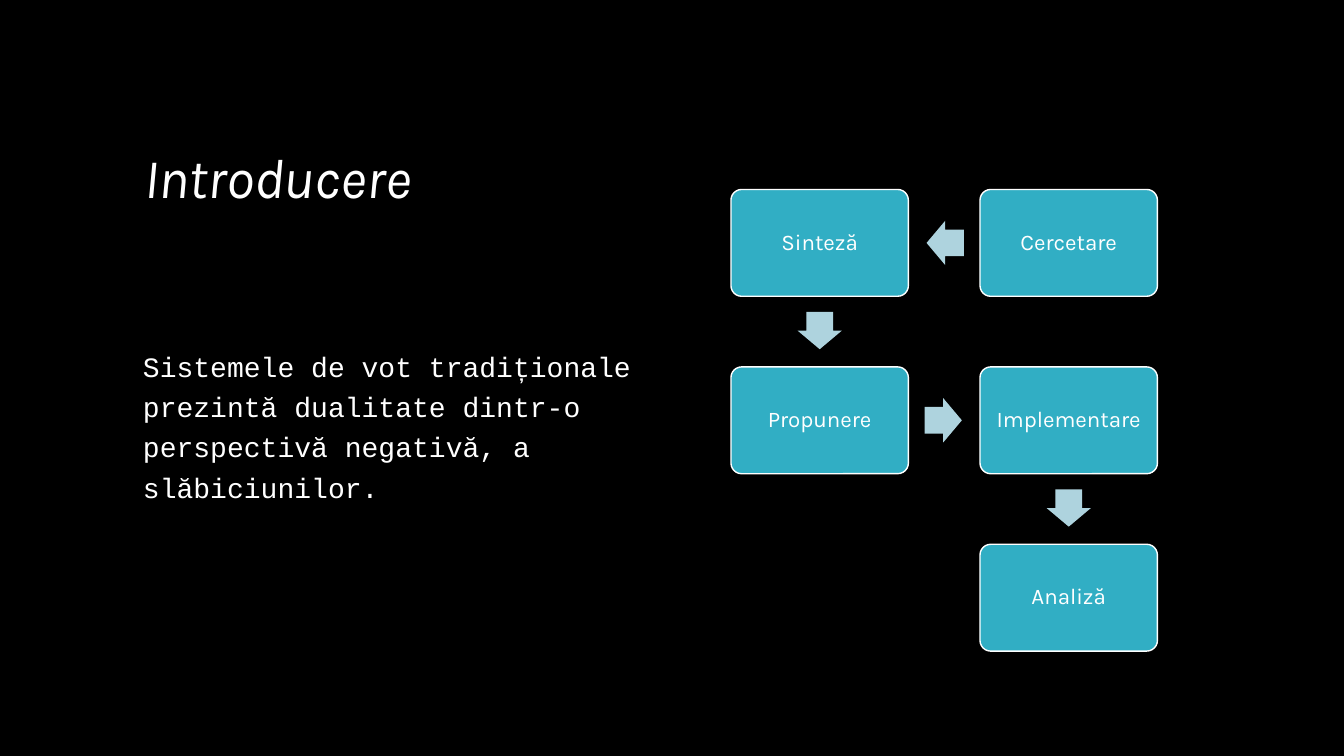
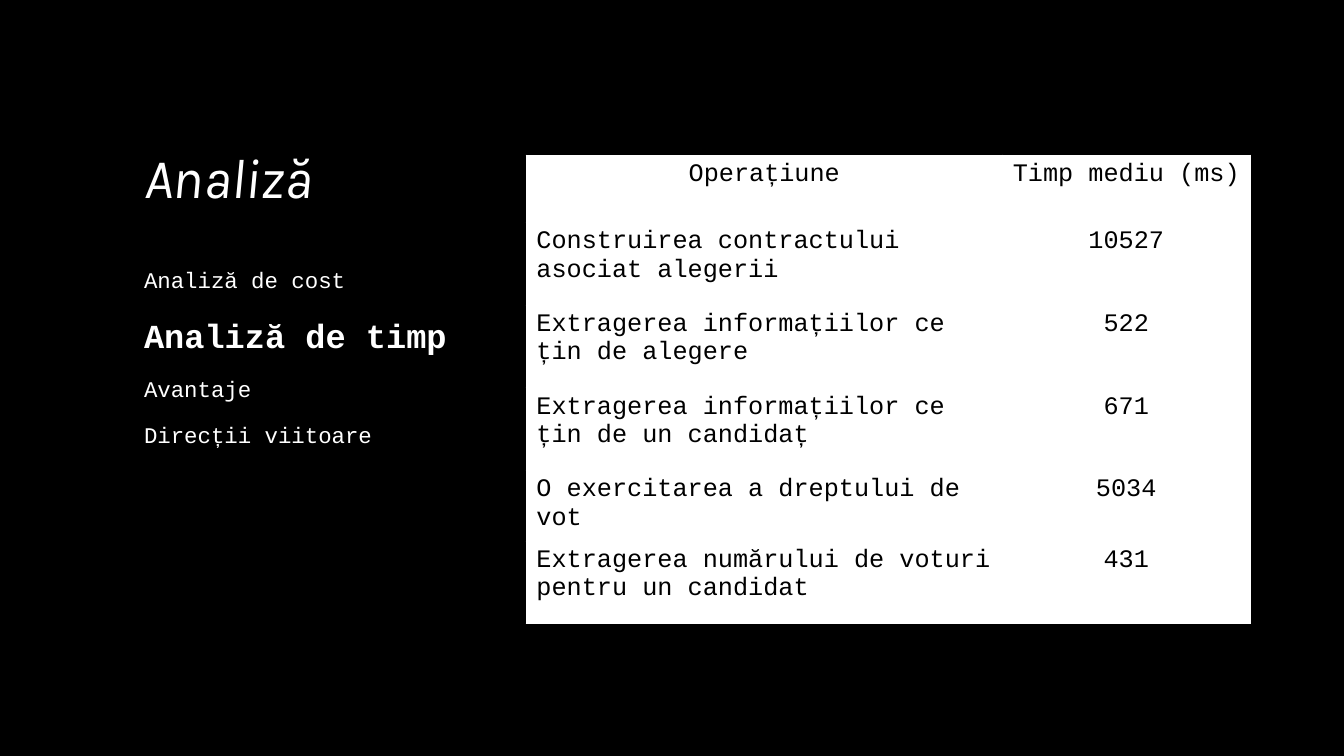
from dataclasses import dataclass
from itertools import pairwise
from math import atan2, cos, degrees, radians, sin

from pptx import Presentation
from pptx.dml.color import RGBColor
from pptx.enum.shapes import MSO_SHAPE
from pptx.enum.text import MSO_ANCHOR, PP_ALIGN
from pptx.presentation import Presentation as Deck
from pptx.slide import Slide
from pptx.text.text import Font, TextFrame
from pptx.util import Inches, Pt

COLORS = {
    "background": "000000",
    "text": "FFFFFF",
    "step": "31AEC4",
    "arrow": "AED3DE",
    "cell": "FFFFFF",
    "cell_text": "000000",
}
HEADING_FONT = "Karla"
BODY_FONT = "Courier New"
LINE_SPACING = 1.2

STEP_WIDTH, STEP_HEIGHT = 1.76, 1.06
FLOW_LEFT, FLOW_TOP = 7.25, 1.88
COLUMN_PITCH, ROW_PITCH = 2.47, 1.76
ARROW_LENGTH, ARROW_WIDTH = 0.37, 0.44
ARROW_SETBACK = 0.01


@dataclass(frozen=True)
class Line:
    text: str
    size: int
    bold: bool = False


@dataclass(frozen=True)
class Step:
    label: str
    column: int
    row: int

    @property
    def center(self) -> tuple[float, float]:
        return (
            FLOW_LEFT + self.column * COLUMN_PITCH + STEP_WIDTH / 2,
            FLOW_TOP + self.row * ROW_PITCH + STEP_HEIGHT / 2,
        )


@dataclass(frozen=True)
class Timing:
    operation: str
    milliseconds: str


STEPS = [
    Step("Cercetare", 1, 0),
    Step("Sinteză", 0, 0),
    Step("Propunere", 0, 1),
    Step("Implementare", 1, 1),
    Step("Analiză", 1, 2),
]

INTRODUCTION = [
    Line(
        "Sistemele de vot tradiționale prezintă dualitate dintr-o "
        "perspectivă negativă, a slăbiciunilor.",
        20,
    ),
]

TOPICS = [
    Line("Analiză de cost", 16),
    Line("Analiză de timp", 24, bold=True),
    Line("Avantaje", 16),
    Line("Direcții viitoare", 16),
]

TIMINGS = [
    Timing("Operațiune", "Timp mediu (ms) "),
    Timing("Construirea contractului asociat alegerii ", "10527"),
    Timing("Extragerea informațiilor ce țin de alegere ", "522"),
    Timing("Extragerea informațiilor ce țin de un candidaț ", "671"),
    Timing("O exercitarea a dreptului de vot", "5034"),
    Timing("Extragerea numărului de voturi pentru un candidat ", "431"),
]
TIMING_COLUMNS = [4.72, 2.46]
TIMING_ROWS = [0.67, 0.82, 0.82, 0.82, 0.67, 0.82]


def rgb(name: str) -> RGBColor:
    return RGBColor.from_string(COLORS[name])


def style_font(font: Font, name: str, size: int, color: str = "text") -> None:
    font.name = name
    font.size = Pt(size)
    font.color.rgb = rgb(color)


def add_text_frame(
    slide: Slide, left: float, top: float, width: float, height: float
) -> TextFrame:
    box = slide.shapes.add_textbox(
        Inches(left), Inches(top), Inches(width), Inches(height)
    )
    box.text_frame.word_wrap = True
    return box.text_frame


def add_titled_slide(deck: Deck, title: str) -> Slide:
    slide = deck.slides.add_slide(deck.slide_layouts[6])
    slide.background.fill.solid()
    slide.background.fill.fore_color.rgb = rgb("background")
    frame = add_text_frame(slide, 1.33, 0.4, 10.38, 1.73)
    frame.vertical_anchor = MSO_ANCHOR.BOTTOM
    heading = frame.paragraphs[0]
    heading.text = title
    heading.line_spacing = LINE_SPACING
    style_font(heading.font, HEADING_FONT, 40)
    heading.font.italic = True
    return slide


def add_body(
    slide: Slide,
    lines: list[Line],
    left: float,
    top: float,
    width: float,
    height: float,
) -> None:
    frame = add_text_frame(slide, left, top, width, height)
    for index, line in enumerate(lines):
        paragraph = frame.add_paragraph() if index else frame.paragraphs[0]
        paragraph.text = line.text
        paragraph.line_spacing = LINE_SPACING
        if index:
            paragraph.space_before = Pt(10)
        style_font(paragraph.font, BODY_FONT, line.size)
        paragraph.font.bold = line.bold


def add_step(slide: Slide, step: Step) -> None:
    x, y = step.center
    card = slide.shapes.add_shape(
        MSO_SHAPE.ROUNDED_RECTANGLE,
        Inches(x - STEP_WIDTH / 2),
        Inches(y - STEP_HEIGHT / 2),
        Inches(STEP_WIDTH),
        Inches(STEP_HEIGHT),
    )
    card.adjustments[0] = 0.1
    card.shadow.inherit = False
    card.fill.solid()
    card.fill.fore_color.rgb = rgb("step")
    card.line.color.rgb = rgb("text")
    card.line.width = Pt(1)
    frame = card.text_frame
    frame.word_wrap = True
    frame.vertical_anchor = MSO_ANCHOR.MIDDLE
    label = frame.paragraphs[0]
    label.text = step.label
    label.alignment = PP_ALIGN.CENTER
    label.line_spacing = 0.9
    style_font(label.font, HEADING_FONT, 16)


def add_step_arrow(slide: Slide, start: Step, end: Step) -> None:
    """Point from one step to the next, just short of the middle of the gap."""
    (x1, y1), (x2, y2) = start.center, end.center
    angle = degrees(atan2(y2 - y1, x2 - x1))
    x = (x1 + x2) / 2 - ARROW_SETBACK * cos(radians(angle))
    y = (y1 + y2) / 2 - ARROW_SETBACK * sin(radians(angle))
    arrow = slide.shapes.add_shape(
        MSO_SHAPE.RIGHT_ARROW,
        Inches(x - ARROW_LENGTH / 2),
        Inches(y - ARROW_WIDTH / 2),
        Inches(ARROW_LENGTH),
        Inches(ARROW_WIDTH),
    )
    arrow.adjustments[0] = 0.6
    arrow.adjustments[1] = 0.5
    arrow.rotation = angle
    arrow.shadow.inherit = False
    arrow.fill.solid()
    arrow.fill.fore_color.rgb = rgb("arrow")
    arrow.line.fill.background()


def add_timing_table(slide: Slide, timings: list[Timing]) -> None:
    table = slide.shapes.add_table(
        len(timings),
        len(TIMING_COLUMNS),
        Inches(5.22),
        Inches(1.54),
        Inches(sum(TIMING_COLUMNS)),
        Inches(sum(TIMING_ROWS)),
    ).table
    table.first_row = False
    table.horz_banding = False
    for column, width in zip(table.columns, TIMING_COLUMNS):
        column.width = Inches(width)
    for row_index, (timing, height) in enumerate(zip(timings, TIMING_ROWS)):
        table.rows[row_index].height = Inches(height)
        for column_index, text in enumerate((timing.operation, timing.milliseconds)):
            cell = table.cell(row_index, column_index)
            cell.fill.solid()
            cell.fill.fore_color.rgb = rgb("cell")
            paragraph = cell.text_frame.paragraphs[0]
            paragraph.text = text
            centered = row_index == 0 or column_index == 1
            paragraph.alignment = PP_ALIGN.CENTER if centered else PP_ALIGN.LEFT
            style_font(paragraph.font, BODY_FONT, 18, "cell_text")


def add_introduction(deck: Deck) -> None:
    slide = add_titled_slide(deck, "Introducere")
    add_body(slide, INTRODUCTION, 1.32, 3.35, 5.2, 1.96)
    for step in STEPS:
        add_step(slide, step)
    for start, end in pairwise(STEPS):
        add_step_arrow(slide, start, end)


def add_time_analysis(deck: Deck) -> None:
    slide = add_titled_slide(deck, "Analiză")
    add_body(slide, TOPICS, 1.33, 2.54, 3.39, 2.26)
    add_timing_table(slide, TIMINGS)


def main() -> None:
    deck = Presentation()
    deck.slide_width = Inches(13.33)
    deck.slide_height = Inches(7.5)
    add_introduction(deck)
    add_time_analysis(deck)
    deck.save("out.pptx")


if __name__ == "__main__":
    main()
